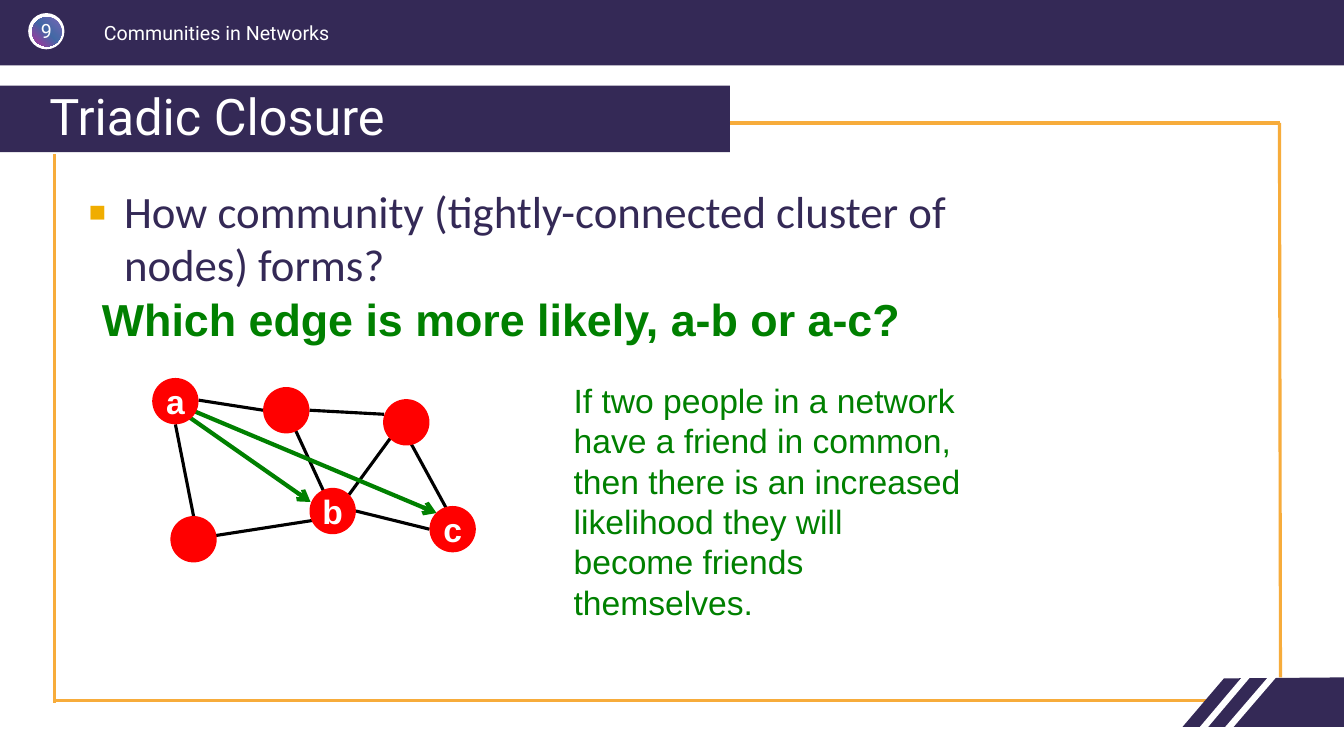
from copy import deepcopy

from pptx import Presentation
from pptx.dml.color import RGBColor
from pptx.enum.shapes import MSO_CONNECTOR, MSO_SHAPE
from pptx.enum.text import MSO_ANCHOR, MSO_AUTO_SIZE, PP_ALIGN
from pptx.oxml.ns import qn
from pptx.oxml.xmlchemy import OxmlElement
from pptx.util import Pt

PX = 9144  # 100 px to the inch
STRAIGHT = MSO_CONNECTOR.STRAIGHT
ELLIPSE = MSO_SHAPE.OVAL
RECTANGLE = MSO_SHAPE.RECTANGLE
LEFT, CENTER = PP_ALIGN.LEFT, PP_ALIGN.CENTER
TOP, MIDDLE = MSO_ANCHOR.TOP, MSO_ANCHOR.MIDDLE
NO_AUTOFIT = MSO_AUTO_SIZE.NONE

NAVY = RGBColor(0x34, 0x29, 0x56)
ORANGE = RGBColor(0xF7, 0xAC, 0x3B)
GOLD = RGBColor(0xF0, 0xAD, 0x00)
GREEN = RGBColor(0x00, 0x80, 0x00)
RED = RGBColor(0xFF, 0x00, 0x00)
BLACK = RGBColor(0x00, 0x00, 0x00)
WHITE = RGBColor(0xFF, 0xFF, 0xFF)
BADGE_STOPS = [(0, RGBColor(0x78, 0x64, 0xB5)),
               (0.49, RGBColor(0x42, 0x69, 0xA5)),
               (1, RGBColor(0xB2, 0x32, 0x9A))]

NODE_SIZE = 46
PLAIN_NODES = [(192, 535), (284, 407), (403, 419)]
LETTERED_NODES = {"a": (174, 398), "b": (330, 507), "c": (449, 525)}
EDGES = [(174, 421, 192, 512), (284, 407, 330, 507), (338, 512, 190, 535),
         (261, 407, 197, 397), (353, 507, 426, 525), (387, 435, 346, 491),
         (381, 411, 307, 407), (448, 514, 406, 437)]
CANDIDATE_EDGES = [(175, 405, 308, 498), (169, 398, 433, 509)]
FRAME = [(1270, 672, 1269, 122), (54, 697, 54, 153),
         (53, 695, 1210, 695), (724, 122, 1270, 122)]
CORNER = [(1214, 673), (1333, 672), (1333, 721), (1173, 721)]
CORNER_STRIPES = [(1185, 732, 1245, 661), (1210, 732, 1265, 668)]


def add_child(parent, tag, **attributes):
    child = OxmlElement(tag)
    for name, value in attributes.items():
        child.set(name, str(value))
    parent.append(child)
    return child


def place(shape, left, top, width, height):
    shape.left, shape.top = left * PX, top * PX
    shape.width, shape.height = width * PX, height * PX


def paint(shape, color):
    shape.shadow.inherit = False
    shape.fill.solid()
    shape.fill.fore_color.rgb = color
    shape.line.fill.background()


def style(paragraph, size, font, color, bold=False, align=LEFT):
    paragraph.font.size = Pt(size)
    paragraph.font.name = font
    paragraph.font.color.rgb = color
    paragraph.font.bold = bold
    paragraph.alignment = align


def set_frame(frame, anchor=TOP, top_inset=0, wrap=True):
    frame.auto_size = NO_AUTOFIT
    frame.word_wrap = wrap
    frame.vertical_anchor = anchor
    frame.margin_left = frame.margin_right = frame.margin_bottom = 0
    frame.margin_top = top_inset * PX


def set_indent(paragraph, margin, hanging=0):
    properties = paragraph._p.get_or_add_pPr()
    properties.set("marL", str(margin * PX))
    properties.set("indent", str(-hanging * PX))
    return properties


def add_line(shapes, ends, color, width, arrow=False):
    line = shapes.add_connector(STRAIGHT, *(end * PX for end in ends))
    line.line.color.rgb = color
    line.line.width = Pt(width)
    if arrow:
        outline = line.line._get_or_add_ln()
        outline.set("cap", "rnd")
        add_child(outline, "a:round")
        add_child(outline, "a:tailEnd", type="arrow", w="med", len="med")
    add_child(line._element.spPr, "a:effectLst")


def add_shape(shapes, kind, box, color):
    shape = shapes.add_shape(kind, *(length * PX for length in box))
    paint(shape, color)
    return shape


def add_text(shapes, box, text, size, font, color, align=LEFT, top_inset=0):
    frame = shapes.add_textbox(*(length * PX for length in box)).text_frame
    set_frame(frame, top_inset=top_inset)
    paragraph = frame.paragraphs[0]
    paragraph.text = text
    style(paragraph, size, font, color, align=align)


def add_node(shapes, center, letter=""):
    x, y = center
    corner = (x - NODE_SIZE // 2, y - NODE_SIZE // 2)
    node = add_shape(shapes, ELLIPSE, (*corner, NODE_SIZE, NODE_SIZE), RED)
    if letter:
        set_frame(node.text_frame, MIDDLE, wrap=False)
        paragraph = node.text_frame.paragraphs[0]
        paragraph.text = letter
        style(paragraph, 24, "Arial", WHITE, bold=True, align=CENTER)


def add_page_badge(shapes):
    add_shape(shapes, ELLIPSE, (28, 13, 36, 36), WHITE)
    badge = add_shape(shapes, ELLIPSE, (32, 17, 29, 29), NAVY)
    badge.fill.gradient()
    badge.fill.gradient_angle = 225
    stop_list = next(badge._element.iter(qn("a:gsLst")))
    stop_list.append(deepcopy(stop_list[0]))
    for stop, (position, color) in zip(badge.fill.gradient_stops, BADGE_STOPS):
        stop.position = position
        stop.color.rgb = color
    add_text(shapes, (28, 19, 36, 24), "9", 14, "Roboto", WHITE, CENTER)


def add_decoration(shapes):
    add_shape(shapes, RECTANGLE, (0, -3, 1333, 68), NAVY)
    add_page_badge(shapes)
    add_text(shapes, (103, 21, 541, 25), "Communities in Networks",
             14, "Roboto", WHITE)
    for side in FRAME:
        add_line(shapes, side, ORANGE, 2.25)
    builder = shapes.build_freeform(*CORNER[0], scale=PX)
    builder.add_line_segments(CORNER[1:], close=True)
    paint(builder.convert_to_shape(), NAVY)
    for stripe in CORNER_STRIPES:
        add_line(shapes, stripe, WHITE, 4.5)


def fill_title(title):
    place(title, 0, 85, 724, 66)
    paint(title, NAVY)
    set_frame(title.text_frame, MIDDLE)
    heading = title.text_frame.paragraphs[0]
    heading.text = "Triadic Closure"
    heading.line_spacing = 0.9
    style(heading, 36, "Roboto", WHITE)
    set_indent(heading, 49)


def fill_body(body):
    place(body, 87, 179, 855, 164)
    set_frame(body.text_frame, top_inset=4)
    topic = body.text_frame.paragraphs[0]
    topic.text = "How community (tightly-connected cluster of nodes) forms?"
    style(topic, 32, "Calibri", NAVY)
    topic.line_spacing = Pt(37.9)
    topic.space_before = Pt(2.6)
    bullet = set_indent(topic, 36, 35)
    add_child(add_child(bullet, "a:buClr"), "a:srgbClr", val=GOLD)
    add_child(bullet, "a:buSzPct", val=81000)
    add_child(bullet, "a:buChar", char="◾")

    question = body.text_frame.add_paragraph()
    question.text = "Which edge is more likely, a-b or a-c?"
    style(question, 32, "Arial", GREEN, bold=True)
    question.space_before = Pt(0.6)
    add_child(set_indent(question, 14), "a:buNone")


def add_network(shapes):
    for edge in EDGES:
        add_line(shapes, edge, BLACK, 2.25)
    for center in PLAIN_NODES:
        add_node(shapes, center)
    for edge in CANDIDATE_EDGES:
        add_line(shapes, edge, GREEN, 3, arrow=True)
    for letter, center in LETTERED_NODES.items():
        add_node(shapes, center, letter)


def main():
    deck = Presentation()
    deck.slide_width, deck.slide_height = 1333 * PX, 750 * PX
    slide = deck.slides.add_slide(deck.slide_layouts[1])
    fill_title(slide.shapes.title)
    fill_body(slide.placeholders[1])
    add_decoration(slide.shapes)
    add_text(slide.shapes, (569, 377, 386, 243),
             "If two people in a network have a friend in common, then there "
             "is an increased likelihood they will become friends themselves.",
             24, "Arial", GREEN)
    add_network(slide.shapes)
    deck.save("out.pptx")


if __name__ == "__main__":
    main()
